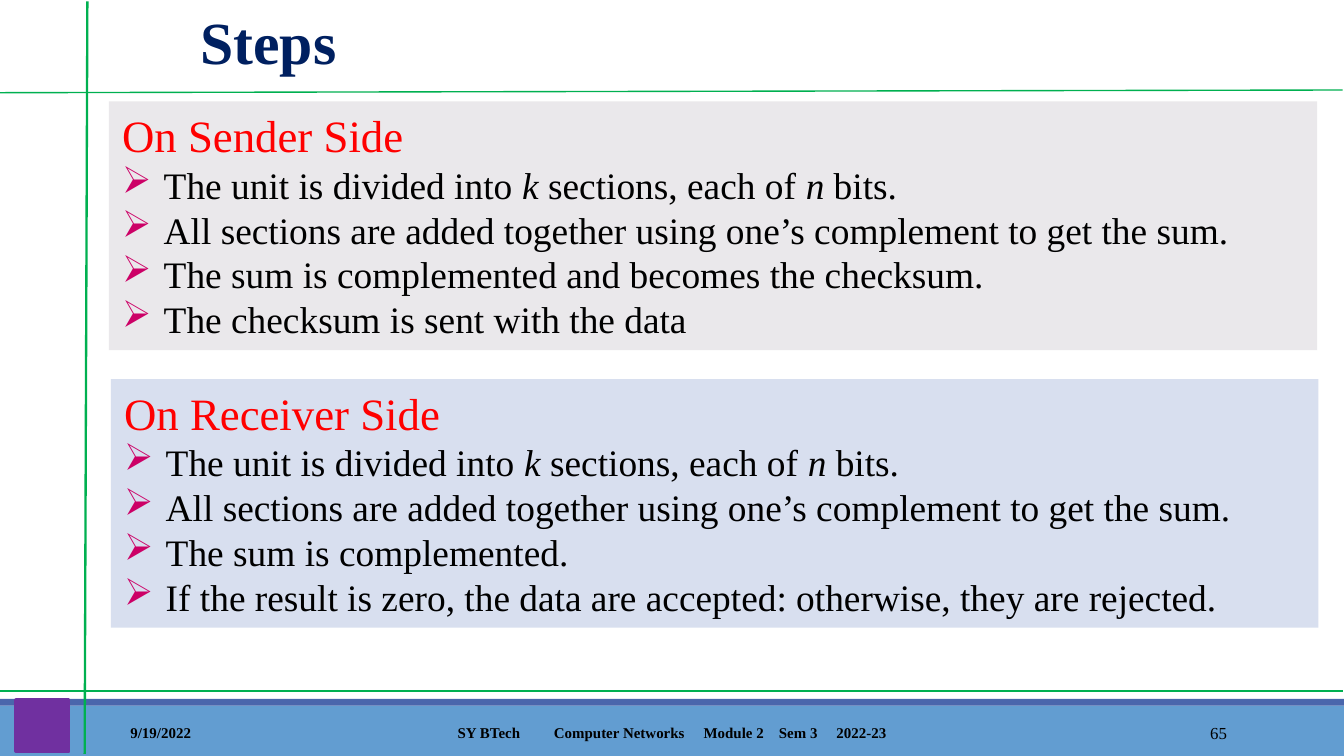
from lxml import etree
from pptx import Presentation
from pptx.dml.color import RGBColor
from pptx.enum.shapes import MSO_CONNECTOR, MSO_SHAPE
from pptx.enum.text import MSO_ANCHOR, MSO_AUTO_SIZE, PP_ALIGN
from pptx.oxml.ns import qn
from pptx.util import Inches, Pt

RECT = MSO_SHAPE.RECTANGLE
STRAIGHT = MSO_CONNECTOR.STRAIGHT
TOP, MIDDLE, BOTTOM = MSO_ANCHOR.TOP, MSO_ANCHOR.MIDDLE, MSO_ANCHOR.BOTTOM
LEFT, CENTER, RIGHT = PP_ALIGN.LEFT, PP_ALIGN.CENTER, PP_ALIGN.RIGHT
FIXED = MSO_AUTO_SIZE.NONE

FONT = "Times New Roman"
COLORS = {
    "text": "000000", "title": "002060", "heading": "FF0000",
    "bullet": "CC0066", "rule": "00B050", "badge": "7030A0",
    "footer": "629DD1", "stripe": "4A66AC",
    "sender": "EAE8EB", "receiver": "D8DFEF",
}
COLUMNS = 100  # square grid cells across the slide
HANG = 0.31    # bullet indent, inches

COMMON_STEPS = [
    [("The unit is divided into ", False), ("k", True),
     (" sections, each of ", False), ("n", True), (" bits.", False)],
    [("All sections are added together using one’s complement to get the sum.", False)],
]
SENDER_STEPS = COMMON_STEPS + [
    [("The sum is complemented and becomes the checksum.", False)],
    [("The checksum is sent with the data", False)],
]
RECEIVER_STEPS = COMMON_STEPS + [
    [("The sum is complemented.", False)],
    [("If the result is zero, the data are accepted: otherwise, they are rejected.", False)],
]
# Each part of the course line with the extra gap before it, in points
COURSE = [("SY BTech", 0), ("Computer Networks", 16), ("Module 2", 8),
          ("Sem 3", 6), ("2022-23", 8)]


def color(name):
    return RGBColor.from_string(COLORS[name])


class Deck:
    def __init__(self):
        self.prs = Presentation()
        self.prs.slide_width = Inches(10)
        self.prs.slide_height = self.prs.slide_width * 9 // 16
        self.cell = self.prs.slide_width / COLUMNS
        self.slide = self.prs.slides.add_slide(self.prs.slide_layouts[5])

    def grid(self, *cells):
        return [round(n * self.cell) for n in cells]

    def run(self, paragraph, text, size, name="text", bold=False, italic=False):
        run = paragraph.add_run()
        run.text = text
        font = run.font
        font.name, font.size, font.bold, font.italic = FONT, Pt(size), bold, italic
        font.color.rgb = color(name)
        return run

    def frame(self, shape, anchor, side, edge):
        frame = shape.text_frame
        frame.word_wrap, frame.auto_size = True, FIXED
        frame.vertical_anchor = anchor
        frame.margin_left = frame.margin_right = Inches(side)
        frame.margin_top = frame.margin_bottom = Inches(edge)
        return frame

    def title(self, text, *cells):
        title = self.slide.shapes.title
        title.left, title.top, title.width, title.height = self.grid(*cells)
        line = self.frame(title, BOTTOM, 0.07, 0.04).paragraphs[0]
        line.alignment, line.line_spacing = LEFT, 0.85
        self.run(line, text, 32, "title", bold=True)

    def block(self, fill, *cells, outline=None):
        block = self.slide.shapes.add_shape(RECT, *self.grid(*cells))
        block.shadow.inherit = False
        block.fill.solid()
        block.fill.fore_color.rgb = color(fill)
        if outline:
            block.line.color.rgb, block.line.width = color(fill), Pt(outline)
        else:
            block.line.fill.background()
        return block

    def rule(self, *cells, weight=1.25):
        rule = self.slide.shapes.add_connector(STRAIGHT, *self.grid(*cells))
        rule.line.color.rgb, rule.line.width = color("rule"), Pt(weight)
        etree.SubElement(rule._element.spPr, qn("a:effectLst"))

    def label(self, parts, *cells, size=8, bold=True, align=LEFT):
        """Footer text; a part with a gap follows a widened space."""
        box = self.slide.shapes.add_textbox(*self.grid(*cells))
        line = self.frame(box, MIDDLE, 0.07, 0.04).paragraphs[0]
        line.alignment = align
        for text, gap in parts:
            if gap:
                space = self.run(line, " ", size, bold=bold)
                space._r.get_or_add_rPr().set("spc", str(gap * 100))
            self.run(line, text, size, bold=bold)

    def bullet(self, paragraph):
        props = paragraph._p.get_or_add_pPr()
        props.set("marL", str(Inches(HANG)))
        props.set("indent", str(-Inches(HANG)))
        tint = etree.SubElement(props, qn("a:buClr"))
        etree.SubElement(tint, qn("a:srgbClr"), val=COLORS["bullet"])
        etree.SubElement(props, qn("a:buFont"), typeface="Wingdings", charset="2")
        etree.SubElement(props, qn("a:buChar"), char="Ø")

    def panel(self, heading, steps, fill, *cells):
        frame = self.frame(self.block(fill, *cells), TOP, 0.1, 0.05)
        first = frame.paragraphs[0]
        first.alignment = LEFT
        self.run(first, heading, 24, "heading")
        for step in steps:
            line = frame.add_paragraph()
            line.alignment = LEFT
            self.bullet(line)
            for text, italic in step:
                self.run(line, text, 20, italic=italic)


def main():
    deck = Deck()
    deck.block("footer", 0, 52.5, 100, 3.75)
    deck.block("stripe", 0, 52, 100, 0.5)
    deck.label([("9/19/2022", 0)], 9, 53, 20.3, 3)
    deck.label(COURSE, 30.2, 53, 39.6, 3, align=CENTER)
    deck.label([("65", 0)], 81.2, 53, 10.8, 3, size=9, bold=False, align=RIGHT)
    deck.title("Steps", 14.2, 1, 85.8, 5.1)
    deck.panel("On Sender Side", SENDER_STEPS, "sender", 8.1, 7.55, 89.9, 18.5)
    deck.panel("On Receiver Side", RECEIVER_STEPS, "receiver", 8.25, 28.2, 89.85, 18.5)
    deck.rule(-0.1, 6.9, 99.9, 6.7, weight=0.75)
    deck.block("badge", 1.2, 52.1, 3.9, 3.8, outline=2)
    deck.rule(6.5, 0.1, 6.3, 56.1)
    deck.rule(-0.1, 51.4, 99.9, 51.4)
    deck.prs.save("out.pptx")


if __name__ == "__main__":
    main()
